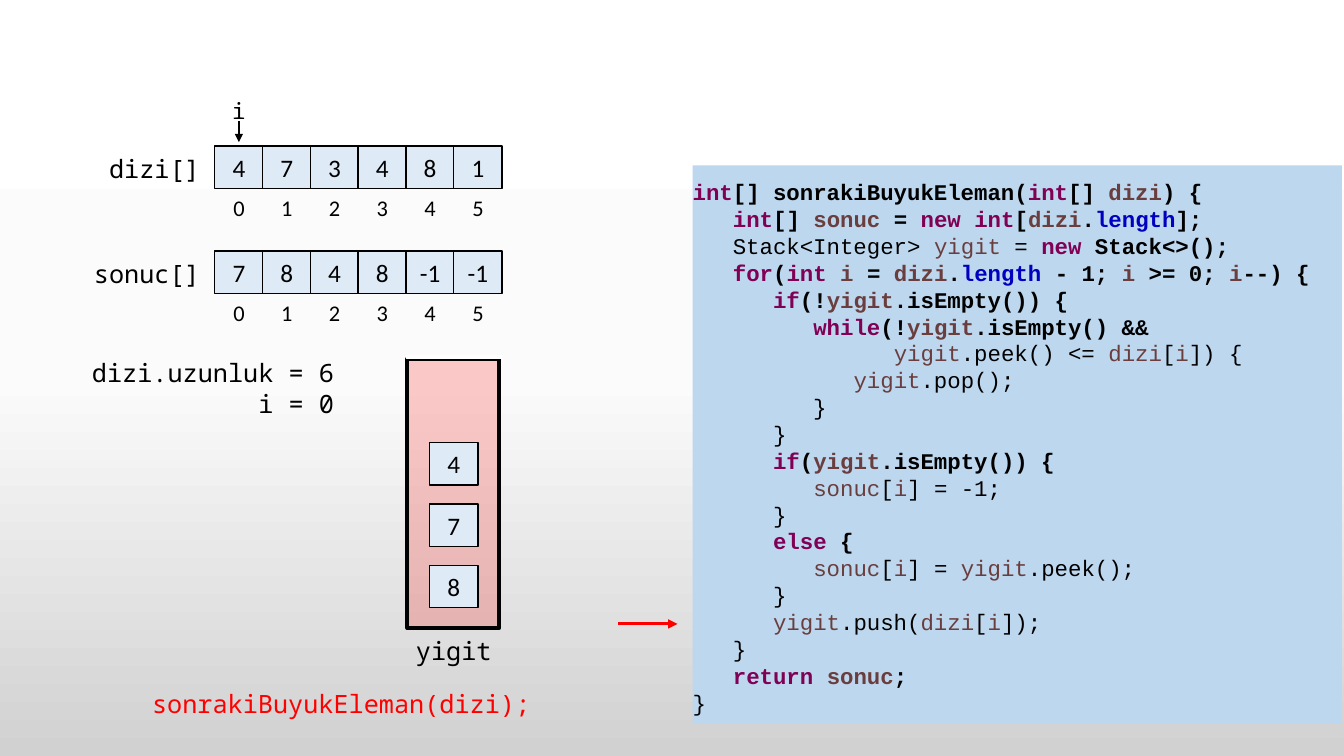
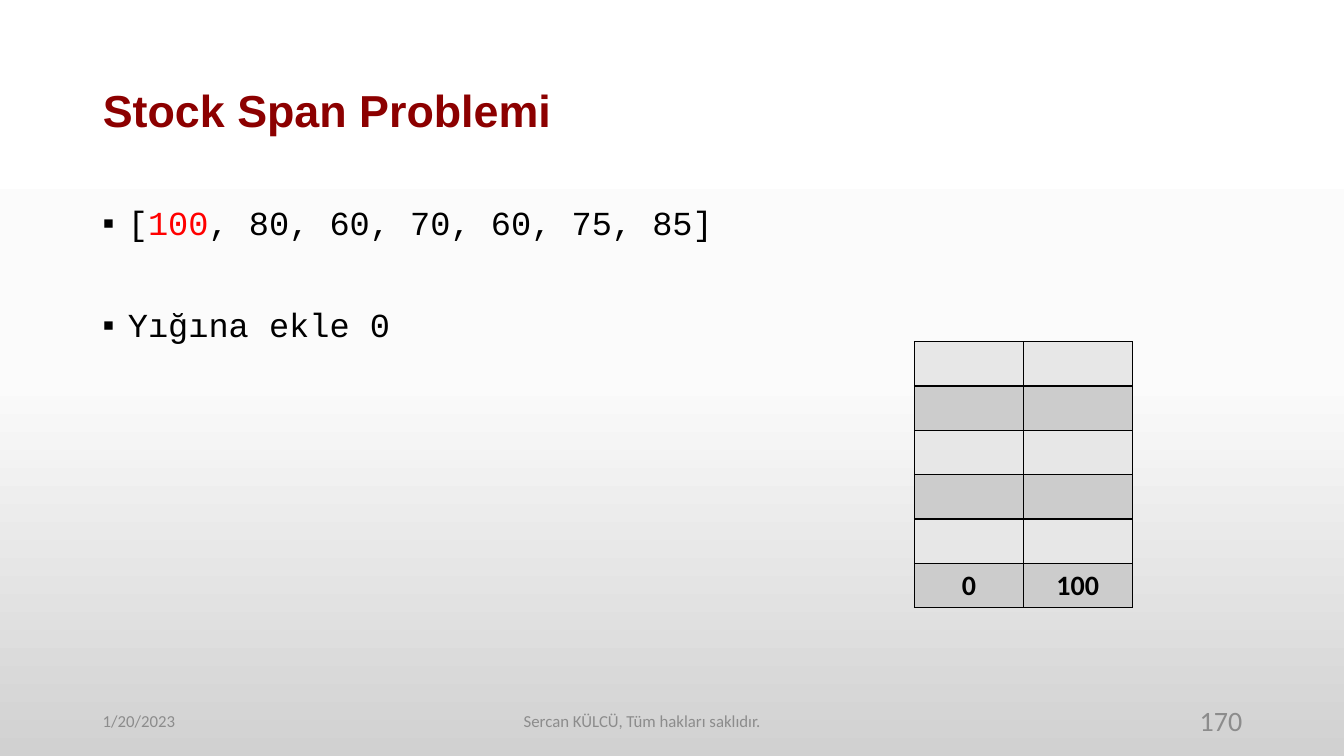
from dataclasses import dataclass
from itertools import groupby

from lxml import etree
from pptx import Presentation
from pptx import util as u
from pptx.dml.color import RGBColor
from pptx.enum import shapes, text
from pptx.oxml import ns

ALIGN = text.PP_ALIGN
MIDDLE = text.MSO_ANCHOR.MIDDLE


@dataclass(frozen=True)
class Theme:
    black: str = "000000"
    white: str = "FFFFFF"
    red: str = "FF0000"
    title: str = "8C0000"
    muted: str = "8C8C8C"
    cell: str = "DEEBF7"
    panel: str = "BDD7EE"
    keyword: str = "7F0055"
    variable: str = "6A3E3E"
    field: str = "0000C0"
    bands: tuple = ("E7E7E7", "CCCCCC")
    backdrop: tuple = ((0, "FFFFFF"), (50, "FBFBFB"), (100, "D1D1D1"))
    sans: str = "Calibri"
    heading: str = "Arial"
    mono: str = "Noto Sans Mono"
    code: str = "Courier New"
    footer_size: int = 12
    small: int = 16
    normal: int = 18
    large: int = 20
    body: int = 24
    title_size: int = 32


THEME = Theme()

KEYWORDS = {"int", "new", "for", "if", "while", "else", "return"}
VARIABLES = {"dizi", "sonuc", "yigit", "i"}
FIELDS = {"length"}

CODE = """int[] sonrakiBuyukEleman(int[] dizi) {
   int[] sonuc = new int[dizi.length];
   Stack<Integer> yigit = new Stack<>();
   for(int i = dizi.length - 1; i >= 0; i--) {
      if(!yigit.isEmpty()) {
         while(!yigit.isEmpty() &&
               yigit.peek() <= dizi[i]) {
            yigit.pop();
         }
      }
      if(yigit.isEmpty()) {
         sonuc[i] = -1;
      }
      else {
         sonuc[i] = yigit.peek();
      }
      yigit.push(dizi[i]);
   }
   return sonuc;
}"""

CELL_W, CELL_H = 0.48, 0.42
ARRAY_LEFT, ARRAY_STEP = 2.13, 2.37 / 5


def sub(parent, tag, **attributes):
    return etree.SubElement(parent, ns.qn(tag), attributes)


def inches(*lengths):
    return [u.Inches(length) for length in lengths]


def add_span(para, words, size, font, color=THEME.black, bold=False):
    span = para.add_run()
    span.text = words
    span.font.size = u.Pt(size)
    span.font.name = font
    span.font.bold = bold
    span.font.color.rgb = RGBColor.from_string(color)


def add_para(frame, first, align=ALIGN.LEFT):
    para = frame.paragraphs[0] if first else frame.add_paragraph()
    para.alignment = align
    return para


def add_label(page, at, lines, size, font, color=THEME.black,
              align=ALIGN.LEFT, wrap=False, anchor=text.MSO_ANCHOR.TOP):
    frame = page.shapes.add_textbox(*inches(*at)).text_frame
    frame.word_wrap = wrap
    frame.vertical_anchor = anchor
    for index, line in enumerate(lines):
        add_span(add_para(frame, index == 0, align), line, size, font, color)


def add_rect(page, at, fill, line=None, weight=1, alpha=None):
    box = page.shapes.add_shape(shapes.MSO_SHAPE.RECTANGLE, *inches(*at))
    box.shadow.inherit = False
    box.fill.solid()
    box.fill.fore_color.rgb = RGBColor.from_string(fill)
    if alpha is not None:
        color = box.fill._xPr.find(".//" + ns.qn("a:srgbClr"))
        sub(color, "a:alpha", val=str(alpha * 1000))
    if line is None:
        box.line.fill.background()
    else:
        box.line.color.rgb = RGBColor.from_string(line)
        box.line.width = u.Pt(weight)
    return box


def add_value(page, left, top, value):
    box = add_rect(page, (left, top, CELL_W, CELL_H), THEME.cell, THEME.black)
    frame = box.text_frame
    frame.vertical_anchor = MIDDLE
    add_span(add_para(frame, True, ALIGN.CENTER), value, THEME.normal, THEME.sans)


def add_arrow(page, start, end, color, weight):
    arrow = page.shapes.add_connector(
        shapes.MSO_CONNECTOR.STRAIGHT, *inches(*start, *end))
    arrow.line.color.rgb = RGBColor.from_string(color)
    arrow.line.width = u.Pt(weight)
    sub(arrow.line._get_or_add_ln(), "a:tailEnd", type="triangle")
    sub(arrow._element.spPr, "a:effectLst")


def add_array(page, name, name_left, name_width, top, values):
    add_label(page, (name_left, top + 0.02, name_width, 0.4), [name],
              THEME.normal, THEME.mono, align=ALIGN.RIGHT)
    for index, value in enumerate(values):
        left = ARRAY_LEFT + index * ARRAY_STEP
        add_value(page, left, top, value)
        add_label(page, (left + 0.08, top + 0.43, 0.32, 0.37), [str(index)],
                  THEME.small, THEME.sans, align=ALIGN.CENTER)


def add_stack(page, values):
    add_rect(page, (4.04, 3.56, 0.91, 2.67), THEME.red, THEME.black, 3, alpha=20)
    add_rect(page, (4.03, 3.53, 0.94, 0.03), THEME.white, THEME.white)
    add_label(page, (4.02, 6.25, 0.96, 0.4), ["yigit"],
              THEME.normal, THEME.mono, align=ALIGN.CENTER)
    for level, value in enumerate(values):
        add_value(page, 4.26, 5.61 - level * 0.61, value)


def token_color(token):
    for words, color in ((KEYWORDS, THEME.keyword),
                         (VARIABLES, THEME.variable),
                         (FIELDS, THEME.field)):
        if token in words:
            return color
    return THEME.black


def add_code(page, at, code):
    frame = add_rect(page, at, THEME.panel).text_frame
    frame.word_wrap = True
    frame.vertical_anchor = text.MSO_ANCHOR.BOTTOM
    frame.margin_left = frame.margin_right = 0
    frame.margin_top = frame.margin_bottom = u.Inches(0.08)
    for index, line in enumerate(code.splitlines()):
        para = add_para(frame, index == 0)
        bold = False
        for _, letters in groupby(line, str.isalnum):
            token = "".join(letters)
            bold = bold or token in KEYWORDS
            add_span(para, token, THEME.small, THEME.code, token_color(token), bold)


def set_title(page, words):
    title = page.shapes.title
    title.left, title.top, title.width, title.height = inches(0.92, 0.4, 11.5, 1.45)
    title.text_frame.vertical_anchor = MIDDLE
    para = add_para(title.text_frame, True)
    para.line_spacing = 0.9
    add_span(para, words, THEME.title_size, THEME.heading, THEME.title, True)


def add_bullets(page, at, items, gap):
    frame = page.shapes.add_textbox(*inches(*at)).text_frame
    frame.word_wrap = True
    for index, spans in enumerate(items):
        para = add_para(frame, index == 0, ALIGN.JUSTIFY)
        para.line_spacing = 0.9
        if index:
            para.space_before = u.Pt(gap)
        props = para._p.get_or_add_pPr()
        props.set("marL", str(u.Inches(0.25)))
        props.set("indent", str(-u.Inches(0.25)))
        sub(props, "a:buFont", typeface=THEME.heading)
        sub(props, "a:buChar", char="▪")
        for words, color in spans:
            add_span(para, words, THEME.body, THEME.code, color)


def add_footer(page, date, notice, number):
    for left, width, words, size, align in (
            (0.92, 3, date, THEME.footer_size, ALIGN.LEFT),
            (2.58, 7.58, notice, THEME.footer_size, ALIGN.CENTER),
            (9.42, 3, number, THEME.large, ALIGN.RIGHT)):
        add_label(page, (left, 6.95, width, 0.4), [words], size, THEME.sans,
                  THEME.muted, align, wrap=True, anchor=MIDDLE)


def set_borders(cell):
    props = cell._tc.get_or_add_tcPr()
    for side in ("a:lnL", "a:lnR", "a:lnT", "a:lnB"):
        line = sub(props, side, w=str(u.Pt(1)))
        sub(sub(line, "a:solidFill"), "a:srgbClr", val=THEME.black)


def add_stack_table(page, left, top, col_width, row_height, rows):
    cols = len(rows[0])
    table = page.shapes.add_table(
        len(rows), cols,
        *inches(left, top, col_width * cols, row_height * len(rows))).table
    table.first_row = table.horz_banding = False
    for r, values in enumerate(rows):
        for c, value in enumerate(values):
            cell = table.cell(r, c)
            set_borders(cell)
            cell.fill.solid()
            cell.fill.fore_color.rgb = RGBColor.from_string(THEME.bands[r % 2])
            cell.vertical_anchor = MIDDLE
            if value:
                para = add_para(cell.text_frame, True, ALIGN.CENTER)
                add_span(para, value, THEME.large, THEME.sans, bold=True)


def set_backdrop(master):
    fill = master.background.fill
    fill.gradient()
    fill.gradient_angle = 270
    stops = master._element.find(".//" + ns.qn("p:bg")).find(".//" + ns.qn("a:gsLst"))
    for stop in list(stops):
        stops.remove(stop)
    for position, color in THEME.backdrop:
        stop = sub(stops, "a:gs", pos=str(position * 1000))
        sub(stop, "a:srgbClr", val=color)


def build_trace(page):
    add_array(page, "dizi[]", 0.96, 1.12, 1.45, ["4", "7", "3", "4", "8", "1"])
    add_array(page, "sonuc[]", 0.81, 1.27, 2.49, ["7", "8", "4", "8", "-1", "-1"])
    add_label(page, (2.2, 0.91, 0.34, 0.37), ["i"],
              THEME.small, THEME.mono, align=ALIGN.CENTER)
    add_arrow(page, (2.37, 1.2), (2.37, 1.41), THEME.black, 1)
    add_label(page, (0.77, 3.5, 2.64, 0.71), ["dizi.uzunluk = 6", "i = 0"],
              THEME.normal, THEME.mono, align=ALIGN.RIGHT)
    add_stack(page, ["8", "7", "4"])
    add_label(page, (1.41, 6.78, 4.01, 0.4), ["sonrakiBuyukEleman(dizi);"],
              THEME.normal, THEME.mono, THEME.red)
    add_arrow(page, (6.13, 6.19), (6.72, 6.19), THEME.red, 2.25)
    add_code(page, (6.87, 1.64, 6.44, 5.54), CODE)


def build_span_problem(page):
    set_title(page, "Stock Span Problemi")
    add_bullets(page, (0.92, 2, 11.5, 4.9), [
        [("[", THEME.black), ("100", THEME.red),
         (", 80, 60, 70, 60, 75, 85]", THEME.black)],
        [("Yığına ekle 0", THEME.black)],
    ], gap=47)
    add_footer(page, "1/20/2023", "Sercan KÜLCÜ, Tüm hakları saklıdır.", "170")
    add_stack_table(page, 9.07, 3.39, 1.08, 0.44, [("", "")] * 5 + [("0", "100")])


def main():
    deck = Presentation()
    deck.slide_width, deck.slide_height = inches(13.33, 7.5)
    set_backdrop(deck.slide_master)
    title_only, blank = deck.slide_layouts[5], deck.slide_layouts[6]
    build_trace(deck.slides.add_slide(blank))
    build_span_problem(deck.slides.add_slide(title_only))
    deck.save("out.pptx")


if __name__ == "__main__":
    main()
